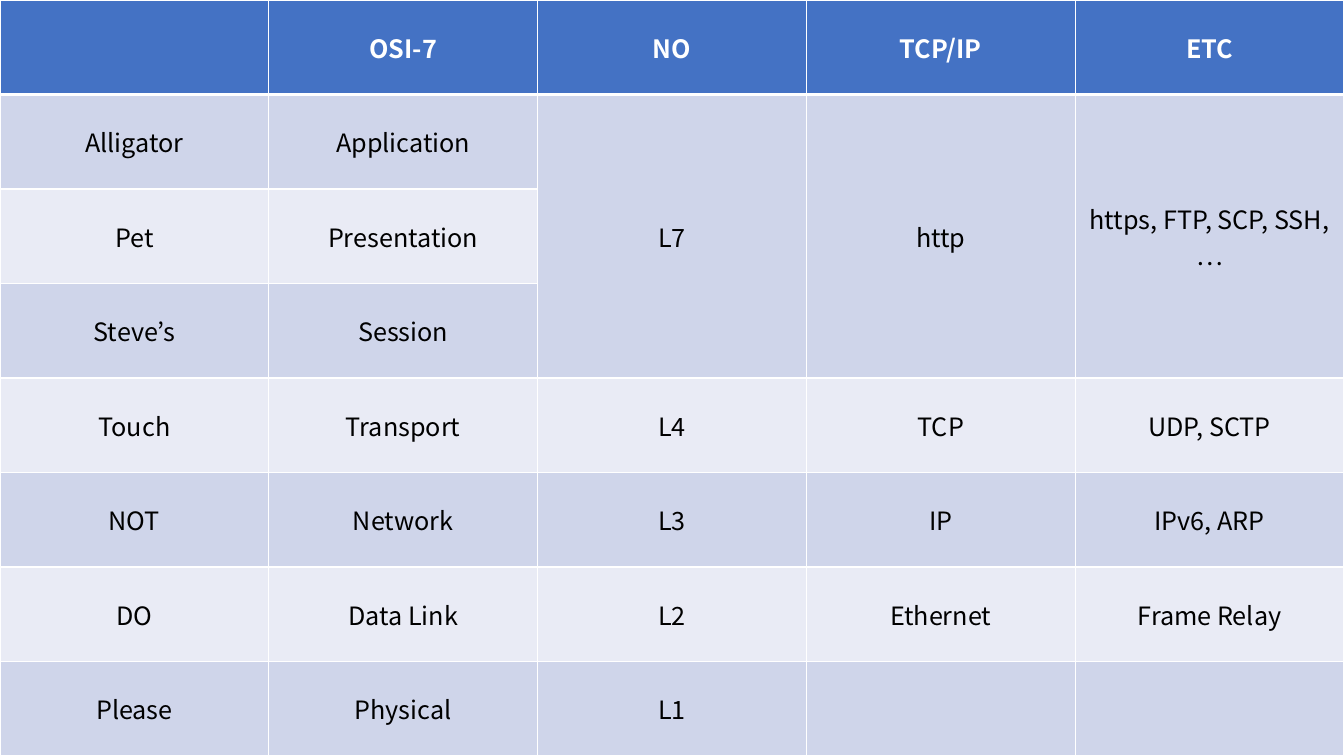
from lxml.etree import SubElement
from pptx import Presentation
from pptx.dml.color import RGBColor
from pptx.enum.text import MSO_ANCHOR, PP_ALIGN
from pptx.oxml.ns import qn
from pptx.util import Pt

PX = 9525
WIDE, HIGH = 1280, 720
FONT = "Noto Sans CJK KR"
COLORS = {
    "head": "4472C4",
    "odd": "CFD5EA",
    "even": "E9EBF5",
    "white": "FFFFFF",
    "black": "000000",
}
ROWS = [
    ["", "OSI-7", "NO", "TCP/IP", "ETC"],
    ["Alligator", "Application", "L7", "http", "https, FTP, SCP, SSH, …"],
    ["Pet", "Presentation", "", "", ""],
    ["Steve’s", "Session", "", "", ""],
    ["Touch", "Transport", "L4", "TCP", "UDP, SCTP"],
    ["NOT", "Network", "L3", "IP", "IPv6, ARP"],
    ["DO", "Data Link", "L2", "Ethernet", "Frame Relay"],
    ["Please", "Physical", "L1", "", ""],
]
MERGED = range(2, 5)


def color(name):
    return RGBColor.from_string(COLORS[name])


def add_border(cell, side, width):
    props = cell._tc.get_or_add_tcPr()
    line = SubElement(props, qn(f"a:ln{side}"), w=str(Pt(width)))
    fill = SubElement(line, qn("a:solidFill"))
    SubElement(fill, qn("a:srgbClr"), val=COLORS["white"])


def style_cell(cell, text, row):
    head = row == 0
    widths = {"L": 1, "R": 1, "T": 3 if row == 1 else 1, "B": 3 if head else 1}
    for side, width in widths.items():
        add_border(cell, side, width)
    cell.fill.solid()
    band = "head" if head else "odd" if row % 2 else "even"
    cell.fill.fore_color.rgb = color(band)
    cell.vertical_anchor = MSO_ANCHOR.MIDDLE
    cell.text_frame.text = text
    para = cell.text_frame.paragraphs[0]
    para.alignment = PP_ALIGN.CENTER
    for run in para.runs:
        font = run.font
        font.name = FONT
        font.size = Pt(18)
        font.bold = head
        font.color.rgb = color("white" if head else "black")
        SubElement(run._r.get_or_add_rPr(), qn("a:ea"), typeface=FONT)


def add_layers(slide, left, top, width, height):
    box = [edge * PX for edge in (left, top, width, height)]
    table = slide.shapes.add_table(len(ROWS), len(ROWS[0]), *box).table
    for row, texts in enumerate(ROWS):
        for col, text in enumerate(texts):
            style_cell(table.cell(row, col), text, row)
    for col in MERGED:
        table.cell(1, col).merge(table.cell(3, col))


def main():
    deck = Presentation()
    deck.slide_width = WIDE * PX
    deck.slide_height = HIGH * PX
    slide = deck.slides.add_slide(deck.slide_layouts[6])
    add_layers(slide, 0, 0, WIDE, HIGH)
    deck.save("out.pptx")


if __name__ == "__main__":
    main()
